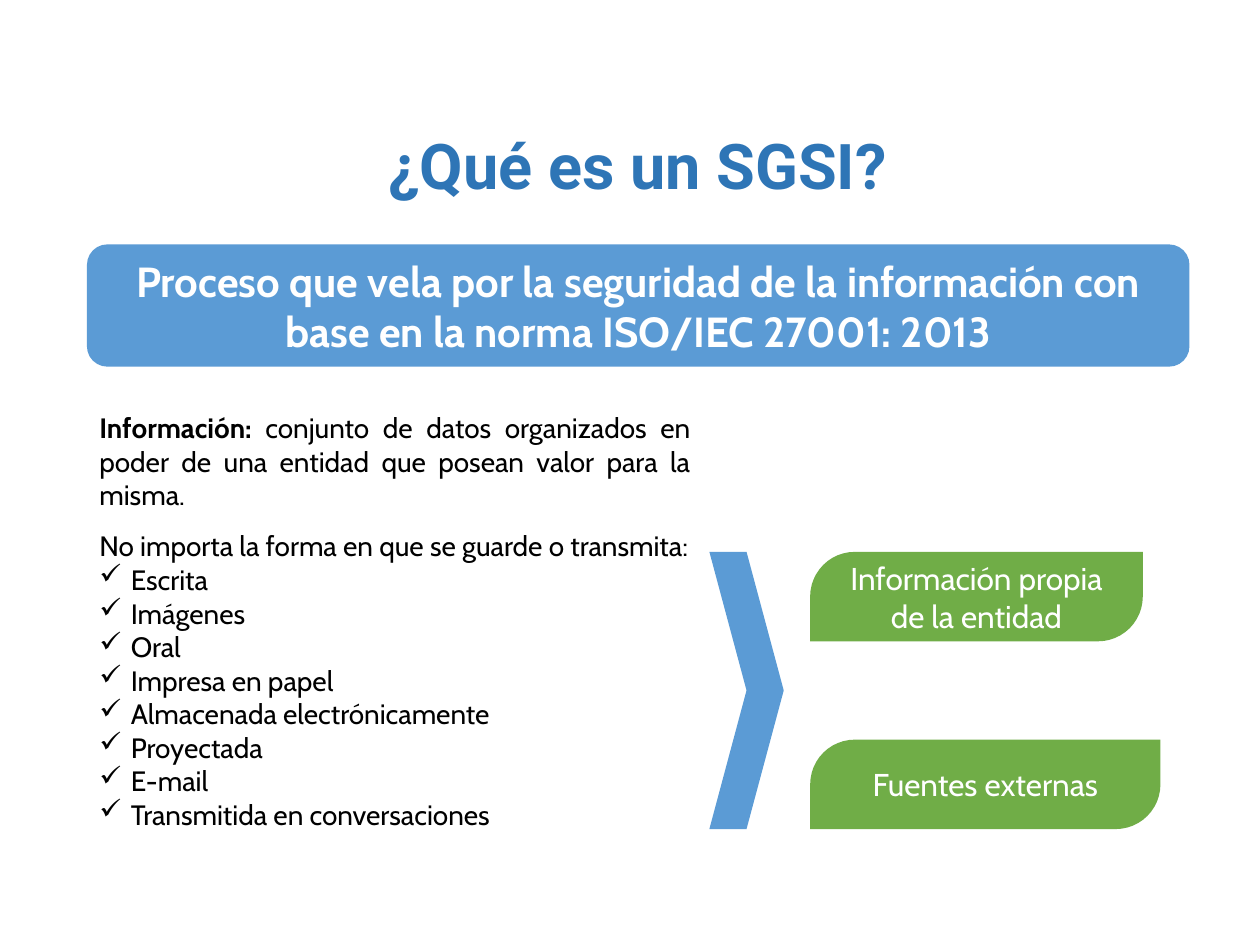
from lxml import etree
from pptx import Presentation
from pptx.dml.color import RGBColor
from pptx.enum.shapes import MSO_SHAPE
from pptx.enum.text import MSO_ANCHOR, PP_ALIGN
from pptx.oxml.ns import qn
from pptx.util import Inches, Pt

CENTER = PP_ALIGN.CENTER
JUSTIFY = PP_ALIGN.JUSTIFY
MIDDLE = MSO_ANCHOR.MIDDLE
BANNER = MSO_SHAPE.ROUNDED_RECTANGLE
CHEVRON = MSO_SHAPE.CHEVRON
LEAF = MSO_SHAPE.ROUND_2_DIAG_RECTANGLE

BLUE = "5B9BD5"
DARK_BLUE = "2E75B6"
GREEN = "70AD47"
WHITE = "FFFFFF"
BLACK = "000000"

INFORMATION_FORMS = [
    "Escrita",
    "Imágenes",
    "Oral",
    "Impresa en papel",
    "Almacenada electrónicamente",
    "Proyectada",
    "E-mail",
    "Transmitida en conversaciones",
]
# Text, top and width of each information source
SOURCES = [
    ("Información propia de la entidad", 4.38, 2.64),
    ("Fuentes externas", 5.87, 2.78),
]


def color(value):
    return RGBColor.from_string(value)


def style(paragraph, size, text_color, bold=None, name="Cabin", align=CENTER):
    paragraph.alignment = align
    font = paragraph.font
    font.name = name
    font.size = Pt(size)
    font.color.rgb = color(text_color)
    font.bold = bold


def add_block(slide, kind, left, top, width, height, fill):
    shape = slide.shapes.add_shape(
        kind, Inches(left), Inches(top), Inches(width), Inches(height))
    shape.shadow.inherit = False
    shape.fill.solid()
    shape.fill.fore_color.rgb = color(fill)
    shape.line.fill.background()
    return shape


def write_label(shape, text, size, bold=None):
    frame = shape.text_frame
    frame.word_wrap = True
    frame.vertical_anchor = MIDDLE
    paragraph = frame.paragraphs[0]
    paragraph.text = text
    style(paragraph, size, WHITE, bold)


def add_text_frame(slide, left, top, width, height):
    box = slide.shapes.add_textbox(
        Inches(left), Inches(top), Inches(width), Inches(height))
    box.text_frame.word_wrap = True
    return box.text_frame


def add_check_bullet(paragraph):
    properties = paragraph._p.get_or_add_pPr()
    properties.set("marL", str(Inches(0.25)))
    properties.set("indent", str(-Inches(0.25)))
    etree.SubElement(properties, qn("a:buChar")).set("char", "✓")


def add_title(slide):
    frame = add_text_frame(slide, 2.75, 1.04, 4.62, 0.61)
    frame.vertical_anchor = MIDDLE
    paragraph = frame.paragraphs[0]
    paragraph.text = "¿Qué es un SGSI?"
    paragraph.line_spacing = 0.9
    style(paragraph, 36, DARK_BLUE, True, "Roboto")


def add_definition(slide):
    frame = add_text_frame(slide, 0.69, 3.21, 4.89, 3.35)

    # Definition with its term in bold
    definition = frame.paragraphs[0]
    term = definition.add_run()
    term.text = "Información:"
    term.font.bold = True
    definition.add_run().text = (
        " conjunto de datos organizados en poder de una entidad"
        " que posean valor para la misma.")
    style(definition, 16, BLACK, align=JUSTIFY)

    # Lead-in and checklist
    lead = frame.add_paragraph()
    lead.text = "No importa la forma en que se guarde o transmita:"
    lead.space_before = Pt(10)
    style(lead, 16, BLACK, align=JUSTIFY)
    for form in INFORMATION_FORMS:
        item = frame.add_paragraph()
        item.text = form
        add_check_bullet(item)
        style(item, 16, BLACK, align=JUSTIFY)


def main():
    presentation = Presentation()
    presentation.slide_width = Inches(10)
    presentation.slide_height = Inches(7.5)
    slide = presentation.slides.add_slide(presentation.slide_layouts[6])

    # Banner
    banner = add_block(slide, BANNER, 0.69, 1.94, 8.75, 0.97, BLUE)
    write_label(
        banner,
        "Proceso que vela por la seguridad de la información con base"
        " en la norma ISO/IEC 27001: 2013",
        24, True)

    add_definition(slide)
    add_title(slide)

    # Information sources, with the chevron pointing to them
    for text, top, width in SOURCES:
        leaf = add_block(slide, LEAF, 6.43, top, width, 0.71, GREEN)
        leaf.adjustments[0] = 0.5
        write_label(leaf, text, 18)
    add_block(slide, CHEVRON, 5.63, 4.38, 0.59, 2.2, BLUE)

    presentation.save("out.pptx")


if __name__ == "__main__":
    main()
